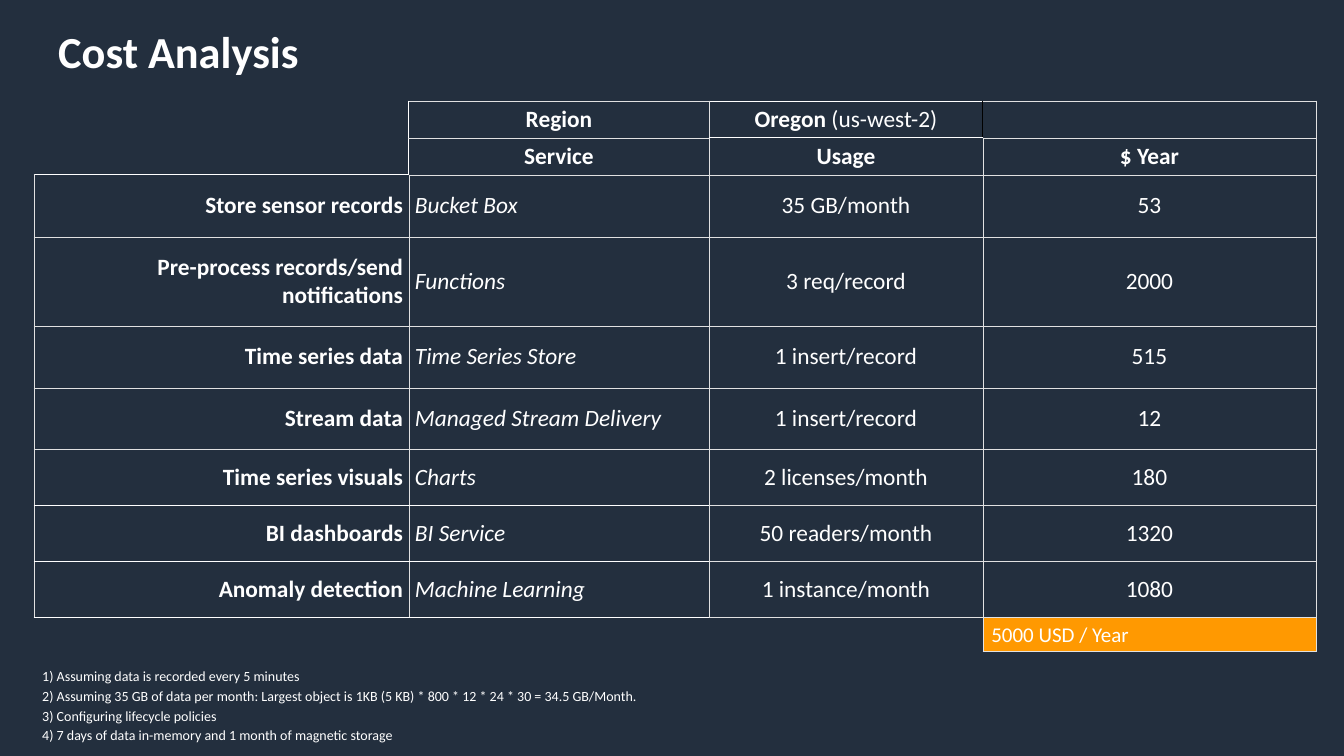
import pptx
import pptx.util
import pptx.dml.color
import pptx.enum.text
import pptx.oxml.ns
from lxml import etree

RGB = pptx.dml.color.RGBColor
NAVY = RGB(0x23, 0x2F, 0x3E)
WHITE = RGB(0xFF, 0xFF, 0xFF)
GREY = RGB(0xE1, 0xE1, 0xE1)
BLACK = RGB(0, 0, 0)
ORANGE = RGB(0xFF, 0x99, 0x01)
ALIGN = pptx.enum.text.PP_ALIGN
MIDDLE = pptx.enum.text.MSO_ANCHOR.MIDDLE

COLS = [375, 300, 274, 333]
ROWS = [37, 37, 62, 89, 62, 62, 56, 56, 56, 34]
COSTS = [
    ["", "Region", "Oregon", ""],
    ["", "Service", "Usage", "$ Year"],
    ["Store sensor records", "Bucket Box", "35 GB/month", "53"],
    ["Pre-process records/send notifications", "Functions", "3 req/record", "2000"],
    ["Time series data", "Time Series Store", "1 insert/record", "515"],
    ["Stream data", "Managed Stream Delivery", "1 insert/record", "12"],
    ["Time series visuals", "Charts", "2 licenses/month", "180"],
    ["BI dashboards", "BI Service", "50 readers/month", "1320"],
    ["Anomaly detection", "Machine Learning", "1 instance/month", "1080"],
    ["", "", "", "5000 USD / Year"],
]
NOTES = [
    "1) Assuming data is recorded every 5 minutes",
    "2) Assuming 35 GB of data per month: Largest object is 1KB (5 KB) * 800 * 12 * 24 * 30 = 34.5 GB/Month.",
    "3) Configuring lifecycle policies",
    "4) 7 days of data in-memory and 1 month of magnetic storage",
]
BRIGHT = {(0, 1, "L"), (1, 1, "L"), (2, 0, "T"), (0, 2, "T"), (0, 2, "B"), (1, 2, "T")}
for row in (6, 7, 8):
    for col in (0, 1):
        BRIGHT |= {(row, col, "B"), (row + 1, col, "T")}
DARK = {(0, 2, "R"), (0, 3, "L")}
PLAIN = "{2D5ABB26-0587-4C30-8999-92F81FD0307C}"


def px(size):
    return pptx.util.Emu(round(size * 914400 / 84))


class Deck:
    face = "Calibri"

    def __init__(self):
        self.prs = pptx.Presentation()
        self.prs.slide_width = px(1344)
        self.prs.slide_height = px(756)
        self.slide = self.prs.slides.add_slide(self.prs.slide_layouts[6])
        self.slide.background.fill.solid()
        self.slide.background.fill.fore_color.rgb = NAVY

    def style(self, para, size, bold=False, italic=False):
        font = para.font
        font.name = self.face
        font.size = pptx.util.Pt(size)
        font.bold = bold
        font.italic = italic
        font.color.rgb = WHITE

    def text(self, box, lines, size, bold=False, gap=0, top=4):
        frame = self.slide.shapes.add_textbox(*map(px, box)).text_frame
        frame.word_wrap = True
        frame.margin_top = px(top)
        frame.text = "\n".join(lines)
        for i, para in enumerate(frame.paragraphs):
            self.style(para, size, bold)
            if i:
                para.space_before = pptx.util.Pt(gap)

    def edge(self, cell, side, color, width):
        props = cell._tc.get_or_add_tcPr()
        line = etree.SubElement(props, pptx.oxml.ns.qn("a:ln" + side))
        line.set("w", str(pptx.util.Pt(width)))
        fill = etree.SubElement(line, pptx.oxml.ns.qn("a:solidFill"))
        etree.SubElement(fill, pptx.oxml.ns.qn("a:srgbClr")).set("val", str(color))

    def cell(self, cell, row, col, text):
        head, total = row < 2, row == 9
        if not (head and col == 0 or total and col < 3):
            for side in "LRTB":
                spot = (row, col, side)
                if spot in BRIGHT:
                    self.edge(cell, side, WHITE, 1)
                elif spot in DARK:
                    self.edge(cell, side, BLACK, 1)
                else:
                    self.edge(cell, side, GREY, 0.75)
        if total and col == 3:
            cell.fill.solid()
            cell.fill.fore_color.rgb = ORANGE
        else:
            cell.fill.background()
        cell.vertical_anchor = MIDDLE
        if col < 3:
            cell.margin_left = cell.margin_right = px(6)
            cell.margin_top = cell.margin_bottom = px(3)
        if not text:
            return
        cell.text = text
        para = cell.text_frame.paragraphs[0]
        if head:
            para.alignment = ALIGN.CENTER
        elif total:
            para.alignment = ALIGN.LEFT
        else:
            para.alignment = (ALIGN.RIGHT, ALIGN.LEFT, ALIGN.CENTER, ALIGN.CENTER)[col]
        self.style(para, 18 if total else 20, head or col == 0, not head and col == 1)

    def table(self, left, top):
        shape = self.slide.shapes.add_table(
            len(ROWS), len(COLS), px(left), px(top), px(sum(COLS)), px(sum(ROWS)))
        grid = shape.table
        grid.first_row = grid.horz_banding = False
        grid._tbl.tblPr.find(pptx.oxml.ns.qn("a:tableStyleId")).text = PLAIN
        for col, width in enumerate(COLS):
            grid.columns[col].width = px(width)
        for row, height in enumerate(ROWS):
            grid.rows[row].height = px(height)
            for col, text in enumerate(COSTS[row]):
                self.cell(grid.cell(row, col), row, col, text)
        return grid


def main():
    deck = Deck()
    deck.text((50, 17, 1242, 83), ["Cost Analysis"], 38, bold=True, top=7)
    deck.text((34, 664, 941, 92), NOTES, 12, gap=2.4)
    grid = deck.table(34, 101)
    zone = grid.cell(0, 2).text_frame.paragraphs[0].add_run()
    zone.text = " (us-west-2)"
    zone.font.bold = False
    deck.prs.save("out.pptx")


if __name__ == "__main__":
    main()
